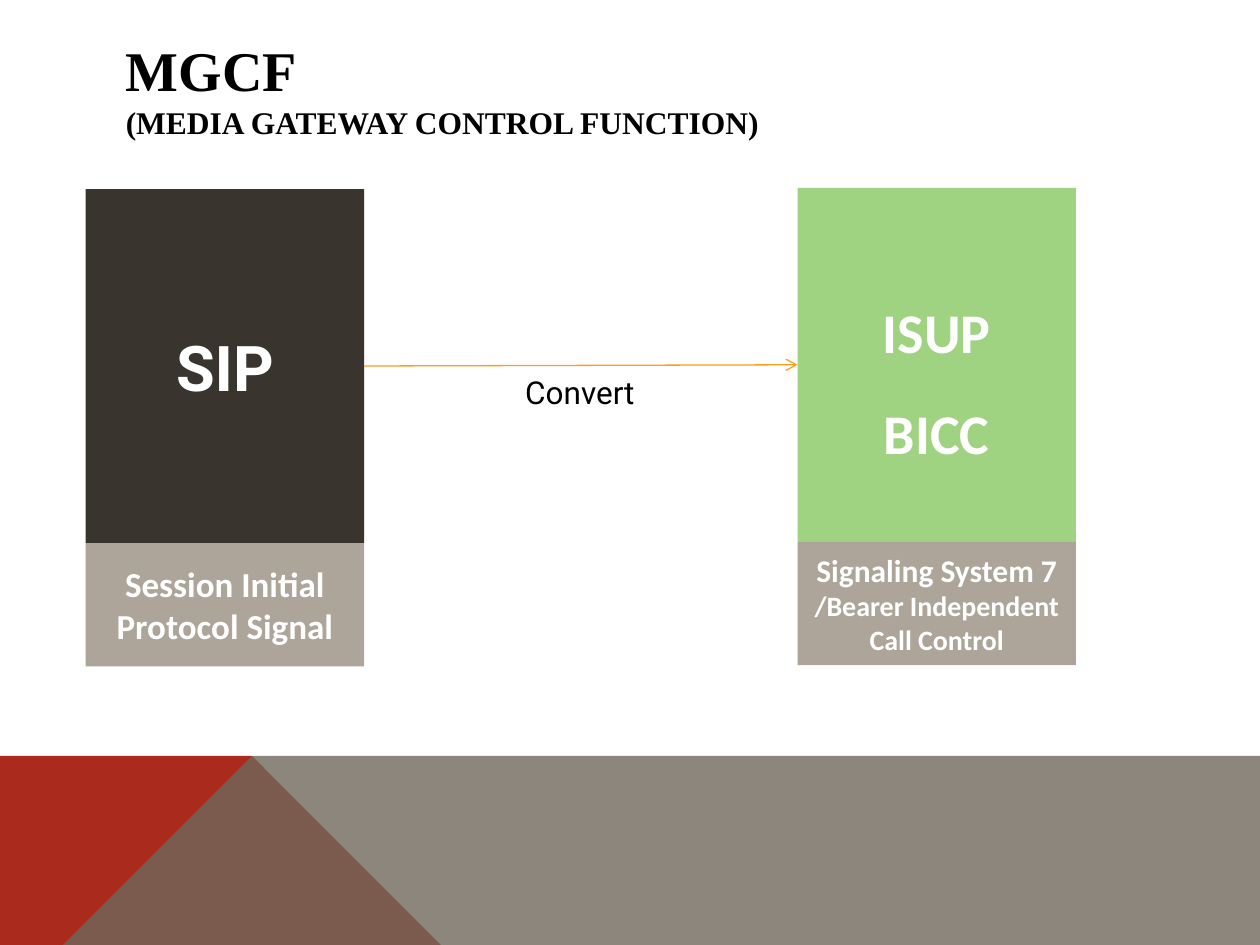
from pptx import Presentation
from pptx.dml.color import RGBColor
from pptx.enum.shapes import MSO_CONNECTOR, MSO_SHAPE
from pptx.enum.text import MSO_ANCHOR as Anchor, PP_ALIGN as Align
from pptx.oxml.ns import qn
from pptx.util import Inches, Pt
from lxml.etree import SubElement

COLORS = {
    "red": "AA2B1E",
    "taupe": "71685C",
    "stone": "ADA59A",
    "green": "A0D381",
    "dark": "39342E",
    "orange": "FD9D1D",
    "white": "FFFFFF",
    "black": "000000",
}
CARD_WIDTH, CARD_HEIGHT, CAPTION_HEIGHT = 2.21, 2.81, 0.98
BAND_TOP, BAND_BOTTOM, BAND_PEAK = 5.52, 7.5, 2.23


class SlideBuilder:
    def __init__(self, slide):
        self.slide = slide

    def color(self, name):
        return RGBColor.from_string(COLORS[name])

    def style_font(self, font, name, size, color, bold=True):
        font.name, font.size, font.bold = name, Pt(size), bold
        font.color.rgb = self.color(color)

    def fill(self, shape, color):
        shape.shadow.inherit = False
        shape.fill.solid()
        shape.fill.fore_color.rgb = self.color(color)
        shape.line.fill.background()

    def polygon(self, points, color, opacity=100):
        builder = self.slide.shapes.build_freeform(*points[0], scale=Inches(1))
        builder.add_line_segments(points[1:], close=True)
        shape = builder.convert_to_shape()
        self.fill(shape, color)
        if opacity < 100:
            color_element = shape.element.spPr.find(qn("a:solidFill"))[0]
            SubElement(color_element, qn("a:alpha"), val=str(opacity * 1000))

    def text_box(self, left, top, width, height, runs, font, bold=False, anchor=Anchor.TOP):
        """Write (text, size) runs in one paragraph, a line break between them."""
        box = self.slide.shapes.add_textbox(*map(Inches, (left, top, width, height)))
        frame = box.text_frame
        frame.word_wrap, frame.vertical_anchor = True, anchor
        paragraph = frame.paragraphs[0]
        for index, (text, size) in enumerate(runs):
            if index:
                paragraph.add_line_break()
            run = paragraph.add_run()
            run.text = text
            self.style_font(run.font, font, size, "black", bold)

    def block(self, group, left, top, height, color, lines, font="Calibri", spacing=1.0):
        """Add a filled rectangle with one centred paragraph per (text, size) line."""
        shape = group.shapes.add_shape(
            MSO_SHAPE.RECTANGLE, *map(Inches, (left, top, CARD_WIDTH, height)))
        self.fill(shape, color)
        frame = shape.text_frame
        frame.word_wrap, frame.vertical_anchor = True, Anchor.MIDDLE
        for index, (text, size) in enumerate(lines):
            paragraph = frame.add_paragraph() if index else frame.paragraphs[0]
            paragraph.text = text
            paragraph.alignment, paragraph.line_spacing = Align.CENTER, spacing
            self.style_font(paragraph.font, font, size, "white")
        return shape

    def card(self, left, top, color, heading, caption, **heading_style):
        """Group a heading block with its caption and return the heading block."""
        group = self.slide.shapes.add_group_shape()
        block = self.block(group, left, top, CARD_HEIGHT, color, heading, **heading_style)
        self.block(group, left, top + CARD_HEIGHT, CAPTION_HEIGHT, "stone", caption)
        return block

    def arrow(self, source, target, color):
        """Join the right side of source to the left side of target."""
        connector = self.slide.shapes.add_connector(MSO_CONNECTOR.STRAIGHT, 0, 0, 0, 0)
        connector.begin_connect(source, 3)
        connector.end_connect(target, 1)
        connector.line.color.rgb = self.color(color)
        connector.line.width = Pt(0.75)
        properties = connector.element.spPr
        SubElement(properties.find(qn("a:ln")), qn("a:tailEnd"), type="arrow")
        SubElement(properties, qn("a:effectLst"))


def main():
    presentation = Presentation()
    presentation.slide_width, presentation.slide_height = Inches(10), Inches(7.5)
    builder = SlideBuilder(presentation.slides.add_slide(presentation.slide_layouts[6]))

    builder.polygon([(0, BAND_BOTTOM), (0, BAND_TOP), (BAND_PEAK, BAND_TOP),
                     (3.91, BAND_BOTTOM)], "red")
    builder.polygon([(0, BAND_BOTTOM), (BAND_PEAK, BAND_TOP), (10, BAND_TOP),
                     (10, BAND_BOTTOM)], "taupe", opacity=80)

    builder.text_box(0.9, 0.4, 8.93, 0.6,
                     [("MGCF", 32), ("(MEDIA GATEWAY CONTROL FUNCTION)", 18)],
                     "Times New Roman", bold=True, anchor=Anchor.MIDDLE)

    isup = builder.card(6.33, 1.49, "green", [("ISUP", 32), ("BICC", 32)],
                        [("Signaling System 7", 18),
                         ("/Bearer Independent Call Control", 16)], spacing=1.5)
    sip = builder.card(0.68, 1.5, "dark", [("SIP", 36)],
                       [("Session Initial Protocol Signal", 20)], font="Roboto")

    builder.text_box(4.07, 2.91, 1.08, 0.4, [("Convert", 18)], "Roboto")
    builder.arrow(sip, isup, "orange")

    presentation.save("out.pptx")


if __name__ == "__main__":
    main()
